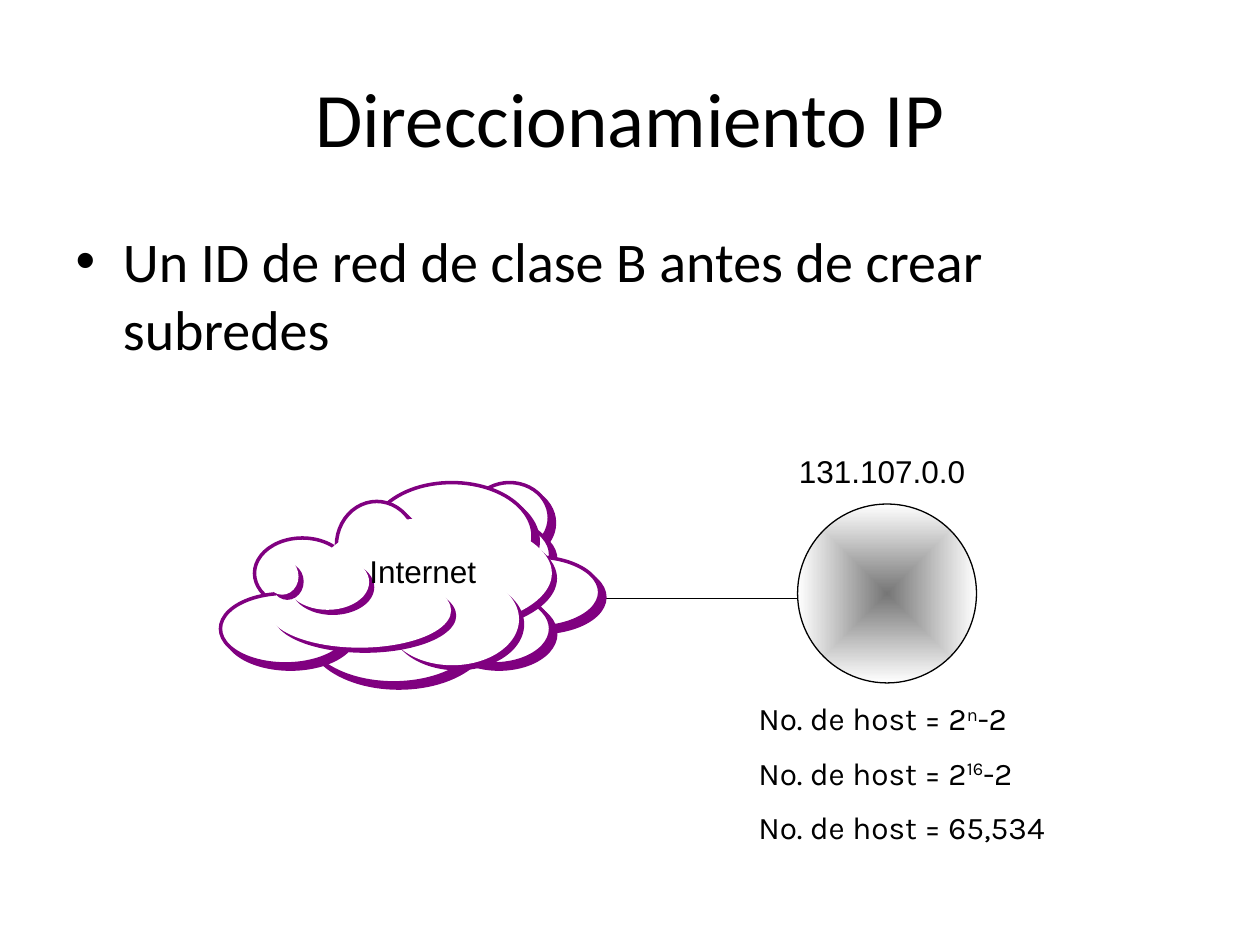
from typing import NamedTuple

from lxml import etree
from pptx import Presentation
from pptx.dml.color import RGBColor
from pptx.enum.shapes import MSO_CONNECTOR, MSO_SHAPE
from pptx.enum.text import MSO_ANCHOR, MSO_AUTO_SIZE, PP_ALIGN
from pptx.oxml.ns import qn
from pptx.util import Pt

PX = 9144  # EMU per px, 100 px to the inch
BLACK = RGBColor(0x00, 0x00, 0x00)
WHITE = RGBColor(0xFF, 0xFF, 0xFF)
GREY = RGBColor(0x76, 0x76, 0x76)
PURPLE = RGBColor(0x80, 0x00, 0x80)
OVAL = MSO_SHAPE.OVAL
STRAIGHT = MSO_CONNECTOR.STRAIGHT
CENTER, LEFT = PP_ALIGN.CENTER, PP_ALIGN.LEFT
MIDDLE = MSO_ANCHOR.MIDDLE
FIT, NO_FIT = MSO_AUTO_SIZE.SHAPE_TO_FIT_TEXT, MSO_AUTO_SIZE.NONE


class Box(NamedTuple):
    left: int
    top: int
    width: int
    height: int

    def emu(self) -> list[int]:
        return [side * PX for side in self]


class Label(NamedTuple):
    box: Box
    text: str


# Outlined puffs at the rim of the cloud, from back to front
RIM = [
    Box(373, 383, 63, 56), Box(347, 412, 90, 56), Box(373, 442, 103, 56),
    Box(334, 457, 77, 41), Box(294, 383, 129, 85), Box(267, 398, 64, 70),
    Box(307, 442, 64, 56), Box(347, 471, 90, 56), Box(241, 457, 143, 85),
    Box(202, 427, 76, 56), Box(175, 471, 103, 56),
]
# Puffs without outline that fill the inside
CORE = [
    Box(253, 411, 185, 88), Box(306, 455, 106, 73), Box(213, 455, 145, 59),
    Box(227, 440, 66, 44), Box(211, 443, 26, 29),
]
LABELS = [
    Label(Box(624, 354, 152, 40), "131.107.0.0"),
    Label(Box(283, 433, 105, 40), "Internet"),
]
# Each line: base, superscript, rest
HOSTS = [("2", "n", "-2"), ("2", "16", "-2"), ("65,534", "", "")]


def style(para, size: int, name: str, align) -> None:
    para.alignment = align
    for run in para.runs:
        run.font.size = Pt(size)
        run.font.name = name
        run.font.color.rgb = BLACK


def fill_holder(holder, box: Box, text: str, size: int, align) -> None:
    holder.left, holder.top, holder.width, holder.height = box.emu()
    frame = holder.text_frame
    frame.text = text
    frame.auto_size = NO_FIT
    style(frame.paragraphs[0], size, "Calibri", align)


def add_puff(group, box: Box, edged: bool) -> None:
    puff = group.shapes.add_shape(OVAL, *box.emu())
    puff.fill.solid()
    puff.fill.fore_color.rgb = WHITE
    if edged:
        puff.line.color.rgb = PURPLE
        puff.line.width = Pt(2)
    else:
        puff.line.fill.background()
    # Hard purple shadow, down to the right
    puff.shadow.inherit = False
    effects = puff._element.spPr.find(qn("a:effectLst"))
    shade = etree.SubElement(effects, qn("a:outerShdw"), dist=str(Pt(4.2)),
                             dir="2700000", algn="ctr", rotWithShape="0")
    etree.SubElement(shade, qn("a:srgbClr"), val=str(PURPLE))


def add_net(shapes, box: Box) -> None:
    net = shapes.add_shape(OVAL, *box.emu())
    net.shadow.inherit = False
    net.line.color.rgb = BLACK
    net.line.width = Pt(0.75)
    net.fill.gradient()
    for stop, color in zip(net.fill.gradient_stops, (GREY, WHITE)):
        stop.color.rgb = color
    # Blend from the centre outwards
    grad = net._element.spPr.find(qn("a:gradFill"))
    grad.remove(grad.find(qn("a:lin")))
    way = etree.SubElement(grad, qn("a:path"), path="shape")
    etree.SubElement(way, qn("a:fillToRect"),
                     l="50000", t="50000", r="50000", b="50000")


def add_link(shapes, start: int, end: int, y: int) -> None:
    link = shapes.add_connector(STRAIGHT, start * PX, y * PX, end * PX, y * PX)
    link.line.color.rgb = BLACK
    link.line.width = Pt(0.75)
    etree.SubElement(link._element.spPr, qn("a:effectLst"))


def add_label(shapes, label: Label) -> None:
    frame = shapes.add_textbox(*label.box.emu()).text_frame
    frame.text = label.text
    frame.word_wrap = False
    frame.auto_size = FIT
    style(frame.paragraphs[0], 18, "Arial", CENTER)


def add_hosts(shapes, box: Box) -> None:
    frame = shapes.add_textbox(*box.emu()).text_frame
    frame.word_wrap = True
    frame.auto_size = FIT
    for i, (base, power, rest) in enumerate(HOSTS):
        para = frame.add_paragraph() if i else frame.paragraphs[0]
        para.text = f"No. de host = {base}"
        if i:
            para.space_before = Pt(9.5)
        if power:
            raised = para.add_run()
            raised.text = power
            raised._r.get_or_add_rPr().set("baseline", "30000")
            para.add_run().text = rest
        style(para, 18, "Karla", LEFT)


def main() -> None:
    deck = Presentation()
    deck.slide_width, deck.slide_height = 1000 * PX, 750 * PX
    slide = deck.slides.add_slide(deck.slide_layouts[1])
    shapes = slide.shapes

    # Title and bullet
    title, body = slide.placeholders
    fill_holder(title, Box(50, 30, 900, 125), "Direccionamiento IP", 44, CENTER)
    title.text_frame.vertical_anchor = MIDDLE
    fill_holder(body, Box(50, 175, 900, 495),
                "Un ID de red de clase B antes de crear subredes", 32, LEFT)

    # Link, cloud and network
    add_link(shapes, 467, 633, 475)
    cloud = shapes.add_group_shape()
    for puffs, edged in ((RIM, True), (CORE, False)):
        for box in puffs:
            add_puff(cloud, box, edged)
    add_net(shapes, Box(633, 400, 142, 142))

    # Captions
    for label in LABELS:
        add_label(shapes, label)
    add_hosts(shapes, Box(592, 550, 267, 130))

    deck.save("out.pptx")


if __name__ == "__main__":
    main()
